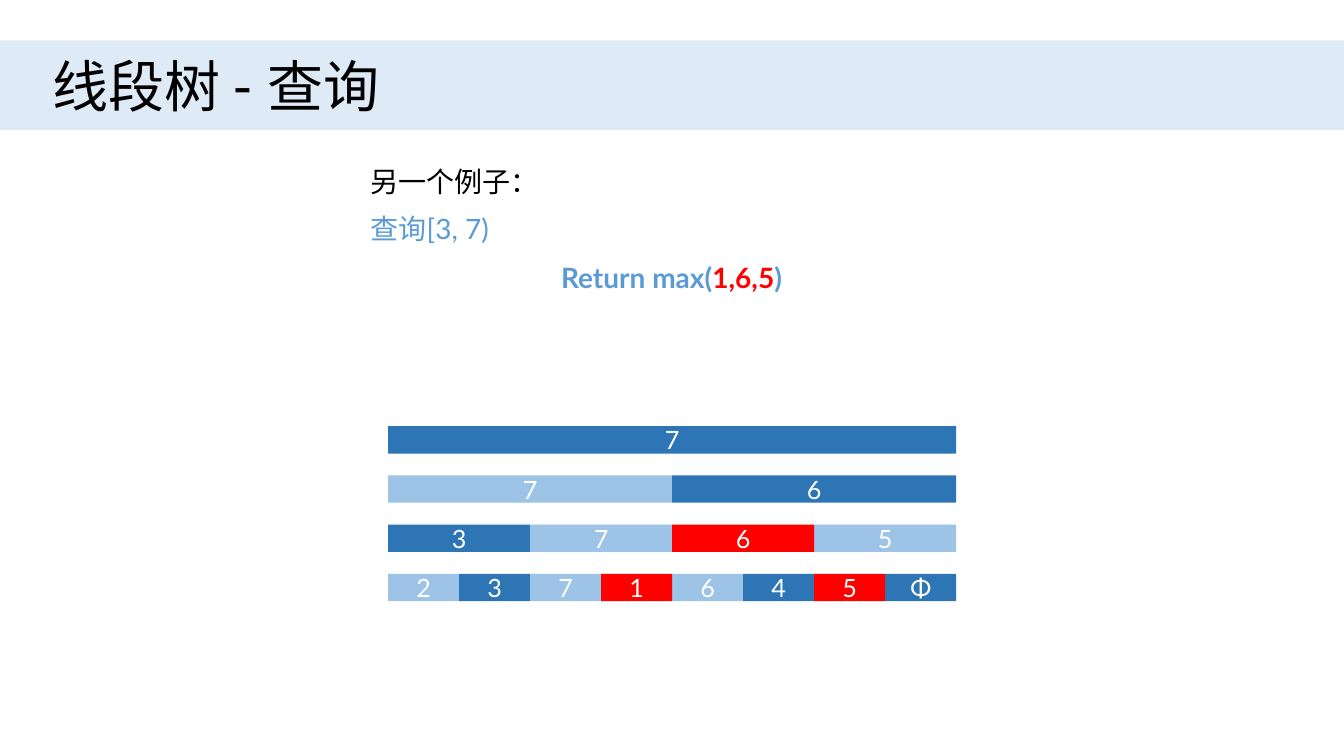
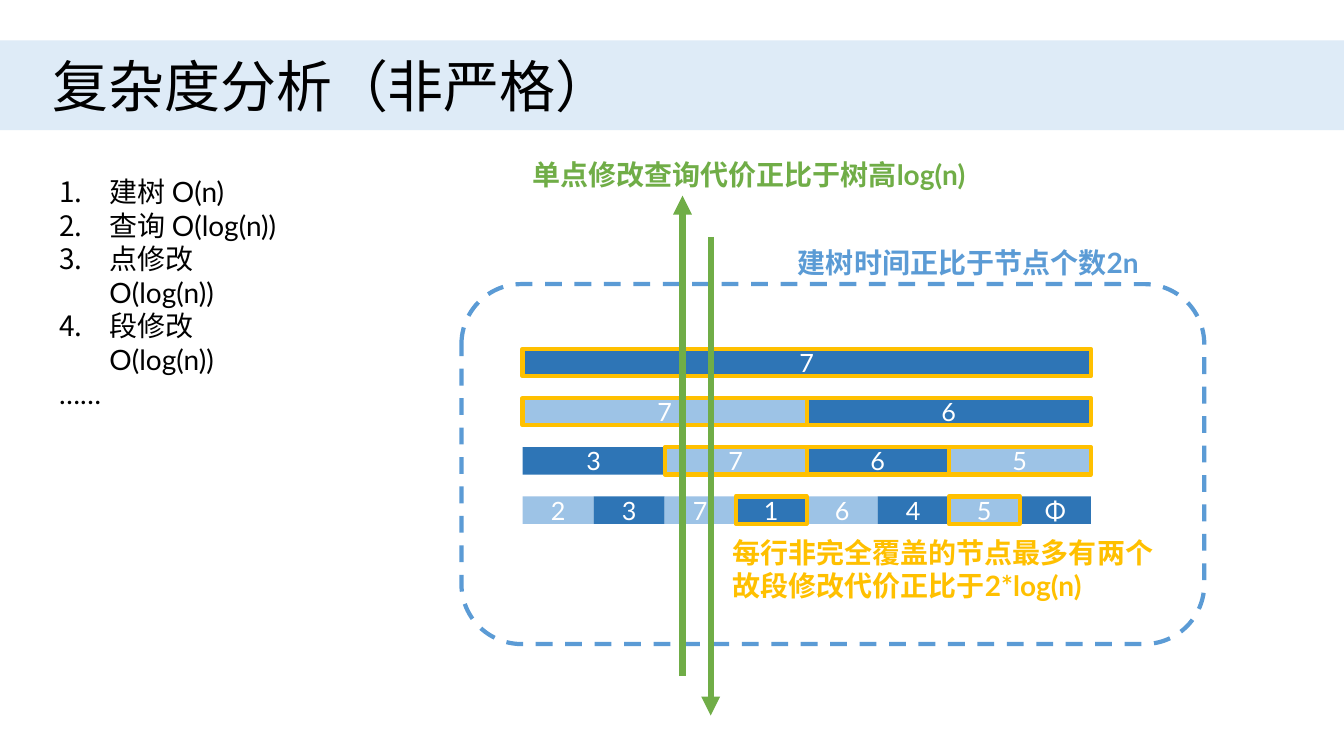
"""Two slides on segment trees: a range query and a complexity analysis."""
from pptx import Presentation
from pptx.dml.color import RGBColor
from pptx.enum.dml import MSO_LINE
from pptx.enum.shapes import MSO_CONNECTOR, MSO_SHAPE
from pptx.enum.text import MSO_ANCHOR, MSO_AUTO_SIZE, PP_ALIGN
from pptx.oxml.ns import qn
from pptx.util import Cm, Pt
from lxml.etree import SubElement

COLORS = {"band": "DEEBF7", "text": "000000", "dark": "2E75B6", "light": "9DC3E6",
          "blue": "5B9BD5", "red": "FF0000", "white": "FFFFFF", "gold": "FFC000",
          "green": "70AD47"}
FONT = "Lato"
TITLE_SIZE, BODY_SIZE, NODE_SIZE = 40, 20, 18
SLIDE_SIZE = (33.87, 19.05)
BAND_BOX = (0, 1.02, 33.87, 2.26)
TITLE_BOX = (1.07, 1.17, 22.94, 1.96)
LIST_INDENT = 1.27

LEVELS = [["7"], ["7", "6"], ["3", "7", "6", "5"], ["2", "3", "7", "1", "6", "4", "5", "Φ"]]
TREE_WIDTH, NODE_HEIGHT, LEVEL_STEP = 14.32, 0.69, 1.24

QUERY_TITLE = "线段树 - 查询"
QUERY_TREE = (9.78, 10.74)
QUERY_HITS = {(2, 2), (3, 3), (3, 6)}
QUERY_NOTES = [
    ((9.09, 4.01, 15.67, 1.12), [[("另一个例子：", "text")]], {}),
    ((9.09, 5.21, 15.67, 1.12), [[("查询[3, 7)", "blue")]], {}),
    ((9.09, 6.43, 15.67, 1.12),
     [[("Return max(", "blue"), ("1,6,5", "red"), (")", "blue")]],
     {"bold": True, "align": PP_ALIGN.CENTER}),
]

COST_TITLE = "复杂度分析（非严格）"
COST_TREE = (13.17, 8.79)
COST_VISITED = {(0, 0), (1, 0), (1, 1), (2, 1), (2, 2), (2, 3), (3, 3), (3, 6)}
COSTS = ["建树 O(n)", "查询 O(log(n))", "点修改 O(log(n))", "段修改 O(log(n))"]
COSTS_BOX = (1.24, 4.27, 6.48, 4.52)
BUILD_FRAME = (11.63, 7.16, 18.72, 9.07)
COST_NOTES = [
    ((19.86, 6.05, 13.13, 1.12), [[("建树时间正比于节点个数2n", "blue")]]),
    ((13.16, 3.84, 12.42, 1.12), [[("单点修改查询代价正比于树高log(n)", "green")]]),
    ((18.21, 13.36, 13.13, 1.96), [[("每行非完全覆盖的节点最多有两个", "gold")],
                                   [("故段修改代价正比于2*log(n)", "gold")]]),
]
HEIGHT_ARROWS = [(17.2, 17.04, 4.93), (17.91, 5.97, 18.03)]


def rgb(color):
    return RGBColor.from_string(COLORS[color])


def write(paragraph, runs, size, bold=False, align=None):
    paragraph.alignment = align
    for words, color in runs:
        run = paragraph.add_run()
        run.text = words
        for key, value in {"name": FONT, "size": Pt(size), "bold": bold}.items():
            setattr(run.font, key, value)
        run.font.color.rgb = rgb(color)


def add_text(slide, box, lines, size=BODY_SIZE, **style):
    frame = slide.shapes.add_textbox(*map(Cm, box)).text_frame
    frame.word_wrap = True
    frame.auto_size = MSO_AUTO_SIZE.SHAPE_TO_FIT_TEXT
    for number, runs in enumerate(lines):
        write(frame.add_paragraph() if number else frame.paragraphs[0], runs, size, **style)
    return frame


def add_block(slide, box, fill=None, outline=None, kind=MSO_SHAPE.RECTANGLE):
    block = slide.shapes.add_shape(kind, *map(Cm, box))
    block.shadow.inherit = False
    for part, color in ((block.fill, fill), (block.line.fill, outline)):
        if color:
            part.solid()
            part.fore_color.rgb = rgb(color)
        else:
            part.background()
    if outline:
        block.line.width = Pt(3)
    return block


def add_tree(slide, origin, marked, mark_fill=None, mark_outline=None):
    left, top = origin
    nodes = [(level, index) for level, row in enumerate(LEVELS) for index in range(len(row))]
    for level, index in sorted(nodes, key=lambda node: node in marked):
        width = TREE_WIDTH / len(LEVELS[level])
        box = (left + index * width, top + level * LEVEL_STEP, width, NODE_HEIGHT)
        fill = "light" if (level + index) % 2 else "dark"
        outline = None
        if (level, index) in marked:
            fill, outline = mark_fill or fill, mark_outline
        frame = add_block(slide, box, fill, outline).text_frame
        frame.vertical_anchor = MSO_ANCHOR.MIDDLE
        write(frame.paragraphs[0], [(LEVELS[level][index], "white")], NODE_SIZE,
              align=PP_ALIGN.CENTER)


def number_line(paragraph):
    properties = paragraph._p.get_or_add_pPr()
    properties.set("marL", str(Cm(LIST_INDENT)))
    properties.set("indent", str(-Cm(LIST_INDENT)))
    SubElement(properties, qn("a:buAutoNum"), type="arabicPeriod")


def add_arrow(slide, x, start, end):
    arrow = slide.shapes.add_connector(MSO_CONNECTOR.STRAIGHT, Cm(x), Cm(start), Cm(x), Cm(end))
    arrow.line.color.rgb = rgb("green")
    arrow.line.width = Pt(4.5)
    SubElement(arrow.line._get_or_add_ln(), qn("a:tailEnd"), type="triangle")
    SubElement(arrow._element.spPr, qn("a:effectLst"))


def add_slide(deck, title):
    slide = deck.slides.add_slide(deck.slide_layouts[6])
    add_block(slide, BAND_BOX, "band")
    add_text(slide, TITLE_BOX, [[(title, "text")]], TITLE_SIZE)
    return slide


deck = Presentation()
deck.slide_width, deck.slide_height = map(Cm, SLIDE_SIZE)

query = add_slide(deck, QUERY_TITLE)
for box, lines, style in QUERY_NOTES:
    add_text(query, box, lines, **style)
add_tree(query, QUERY_TREE, QUERY_HITS, mark_fill="red")

cost = add_slide(deck, COST_TITLE)
costs = add_text(cost, COSTS_BOX, [[(line, "text")] for line in COSTS + ["……"]])
for paragraph in costs.paragraphs[:len(COSTS)]:
    number_line(paragraph)
add_tree(cost, COST_TREE, COST_VISITED, mark_outline="gold")
build_frame = add_block(cost, BUILD_FRAME, outline="blue", kind=MSO_SHAPE.ROUNDED_RECTANGLE)
build_frame.line.dash_style = MSO_LINE.DASH
for box, lines in COST_NOTES:
    add_text(cost, box, lines, bold=True)
for x, start, end in HEIGHT_ARROWS:
    add_arrow(cost, x, start, end)

deck.save("out.pptx")
